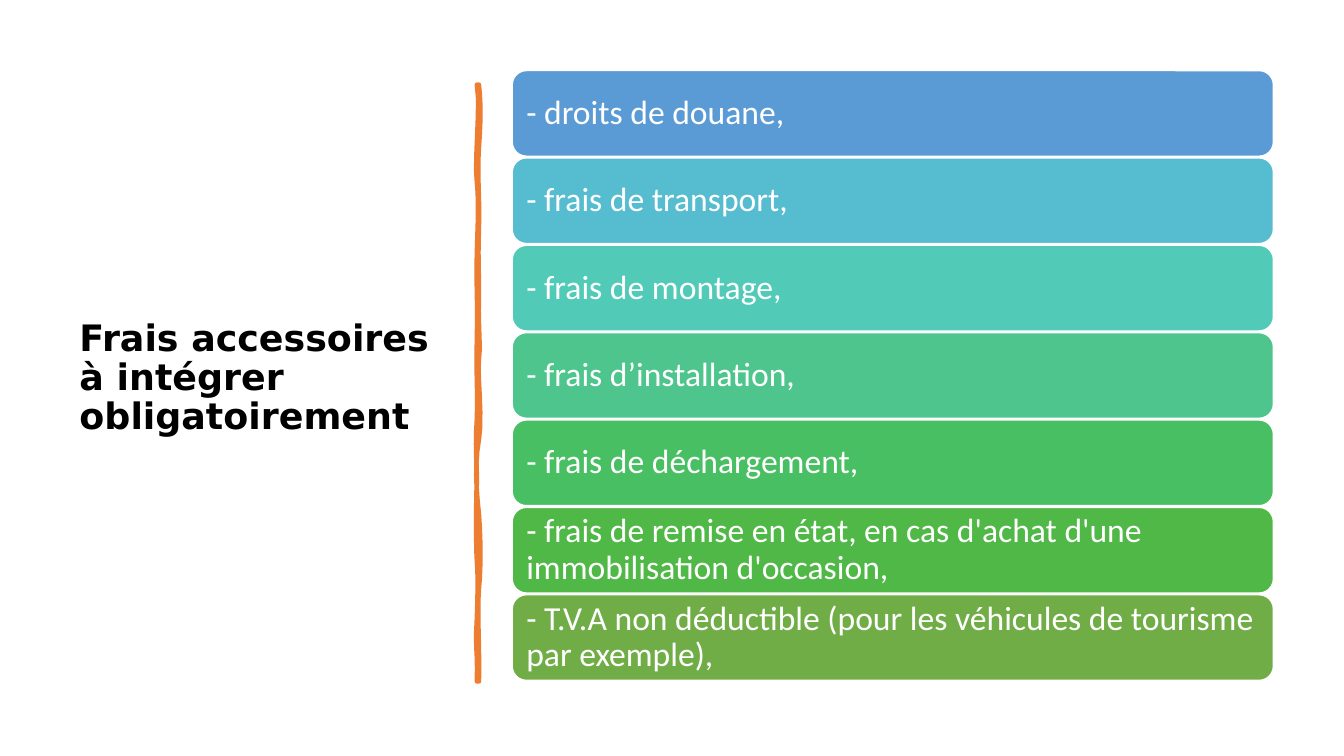
from pptx import Presentation
from pptx.dml.color import RGBColor
from pptx.enum.shapes import MSO_SHAPE as Shape
from pptx.enum.text import MSO_ANCHOR as Anchor, PP_ALIGN as Align
from pptx.util import Pt

EMU_PER_PX = 9144
TITLE = "Frais accessoires à intégrer obligatoirement"
COSTS = [
    ("- droits de douane,", "5B9BD5"),
    ("- frais de transport,", "56BCD0"),
    ("- frais de montage,", "52CAB8"),
    ("- frais d’installation,", "4DC58D"),
    ("- frais de déchargement,", "49BF64"),
    ("- frais de remise en état, en cas d'achat d'une immobilisation d'occasion,", "50B846"),
    ("- T.V.A non déductible (pour les véhicules de tourisme par exemple),", "70AD47"),
]
DIVIDER_START = (475, 84)
DIVIDER_CURVES = [
    ((477, 102), (477, 119), (475, 146)),
    ((473, 173), (476, 195), (475, 226)),
    ((474, 257), (475, 262), (475, 294)),
    ((474, 325), (477, 342), (475, 356)),
    ((473, 370), (479, 414), (475, 436)),
    ((471, 457), (472, 484), (475, 510)),
    ((477, 536), (477, 564), (475, 584)),
    ((473, 603), (476, 650), (475, 676)),
    ((474, 676), (473, 676), (473, 676)),
    ((474, 646), (471, 644), (473, 613)),
    ((474, 583), (474, 570), (473, 557)),
    ((472, 544), (472, 495), (473, 477)),
    ((473, 459), (471, 445), (473, 415)),
    ((474, 386), (472, 373), (473, 335)),
    ((474, 298), (472, 281), (473, 250)),
    ((474, 218), (475, 200), (473, 181)),
    ((470, 163), (477, 104), (473, 84)),
]


def px(length):
    """Convert px to EMU."""
    return round(length * EMU_PER_PX)


def color(code):
    """Turn a hex string into a colour."""
    return RGBColor.from_string(code)


def paint(shape, fill, line, width):
    """Give a shape a flat fill and outline without shadow."""
    shape.shadow.inherit = False
    shape.fill.solid()
    shape.fill.fore_color.rgb = color(fill)
    shape.line.color.rgb = color(line)
    shape.line.width = Pt(width)


def write(shape, words, font, size, ink, bold=False):
    """Write one left-aligned, vertically centred paragraph."""
    frame = shape.text_frame
    frame.word_wrap = True
    frame.vertical_anchor = Anchor.MIDDLE
    frame.margin_left = frame.margin_right = px(10)
    paragraph = frame.paragraphs[0]
    paragraph.alignment = Align.LEFT
    paragraph.line_spacing = 0.9
    run = paragraph.add_run()
    run.text = words
    run.font.name = font
    run.font.size = Pt(size)
    run.font.bold = bold
    run.font.color.rgb = color(ink)


def curve_points(start, curves, steps=6):
    """Sample a chain of cubic curves as EMU points."""
    points = []
    for first, second, end in curves:
        for step in range(1, steps + 1):
            t = step / steps
            weights = ((1 - t) ** 3, 3 * t * (1 - t) ** 2, 3 * t * t * (1 - t), t ** 3)
            corners = (start, first, second, end)
            points.append(tuple(
                px(sum(w * corner[axis] for w, corner in zip(weights, corners)))
                for axis in (0, 1)))
        start = end
    return points


def add_title(slide):
    """Add the heading on the left."""
    heading = slide.shapes.add_textbox(px(69), px(70), px(374), px(611))
    write(heading, TITLE, "DejaVu Sans", 26, "000000", bold=True)


def add_divider(slide):
    """Add the hand-drawn vertical stroke."""
    left, top = DIVIDER_START
    builder = slide.shapes.build_freeform(px(left), px(top))
    builder.add_line_segments(curve_points(DIVIDER_START, DIVIDER_CURVES), close=True)
    paint(builder.convert_to_shape(), "ED7D31", "ED7D31", 3.25)


def add_cost(slide, row, words, fill):
    """Add one cost bar at its row."""
    pitch = 520 / (len(COSTS) - 1)
    bar = slide.shapes.add_shape(
        Shape.ROUNDED_RECTANGLE, px(508), px(70 + row * pitch), px(755), px(85))
    paint(bar, fill, "FFFFFF", 1)
    write(bar, words, "Calibri", 24, "FFFFFF")


def main():
    """Build and save the slide."""
    deck = Presentation()
    deck.slide_width, deck.slide_height = px(1333), px(750)
    slide = deck.slides.add_slide(deck.slide_layouts[6])
    add_title(slide)
    add_divider(slide)
    for row, (words, fill) in enumerate(COSTS):
        add_cost(slide, row, words, fill)
    deck.save("out.pptx")


if __name__ == "__main__":
    main()
